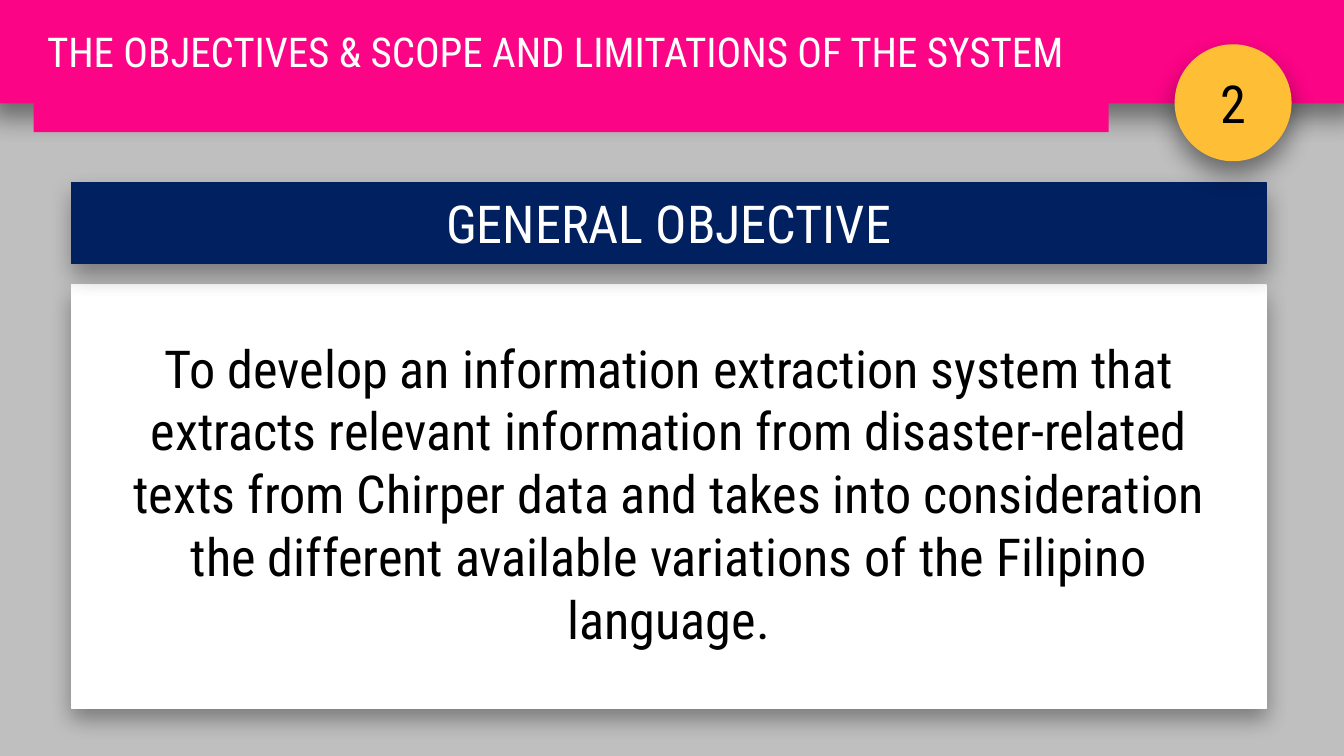
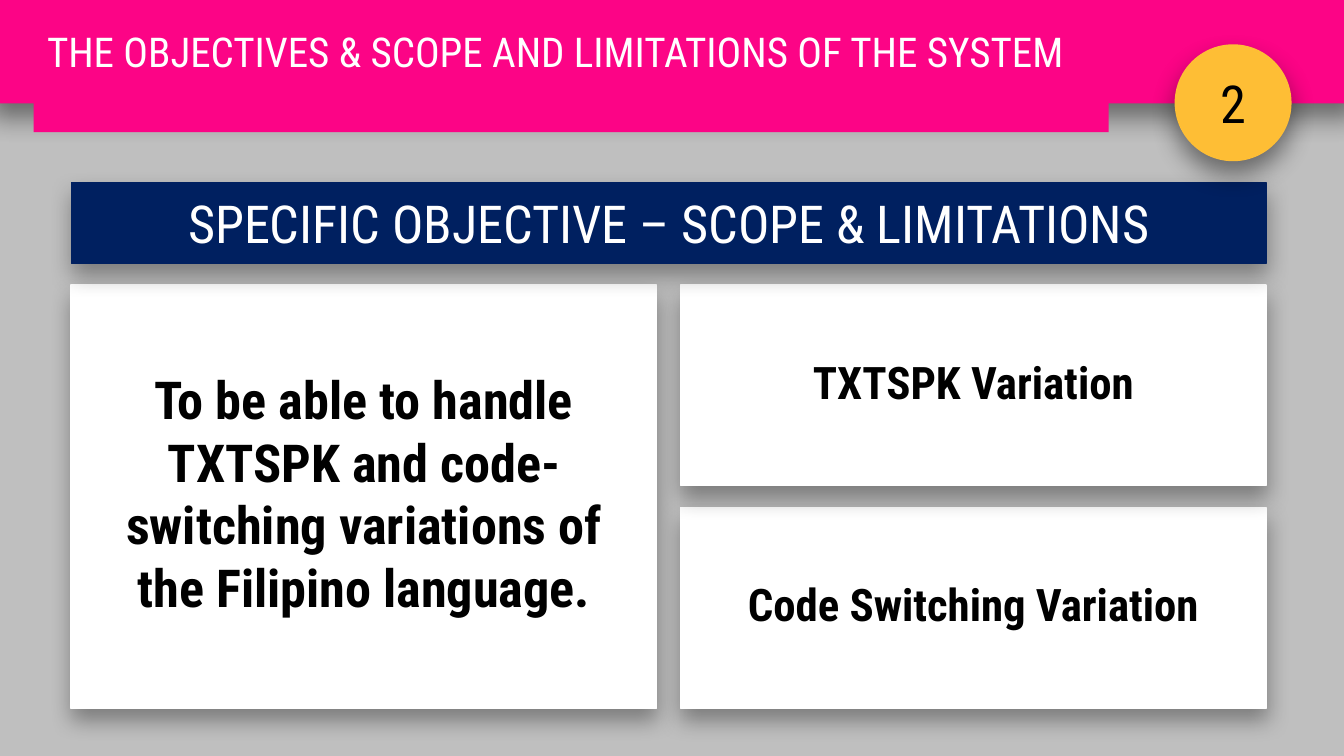
from collections import namedtuple
from dataclasses import dataclass

import lxml.etree
import pptx
import pptx.dml.color
import pptx.enum.shapes
import pptx.enum.text
import pptx.oxml.ns
import pptx.util

Inches = pptx.util.Inches
SHAPES = pptx.enum.shapes.MSO_SHAPE
ALIGN = pptx.enum.text.PP_ALIGN
ANCHOR = pptx.enum.text.MSO_ANCHOR
Box = namedtuple("Box", "left top width height")
Shadow = namedtuple("Shadow", "opacity blur distance")


@dataclass(frozen=True)
class Theme:
    font: str = "Roboto Condensed"
    backdrop: str = "BFBFBF"
    banner: str = "FC0486"
    heading: str = "002060"
    badge: str = "FEBE35"
    light: str = "FFFFFF"
    dark: str = "000000"
    title_size: int = 22
    topic_size: int = 24
    main_size: int = 28
    outline: float = 0.75
    panel_shadow: Shadow = Shadow(35, 12, 6)
    raised_shadow: Shadow = Shadow(45, 14, 7)


THEME = Theme()
SYSTEM_TITLE = "THE OBJECTIVES & SCOPE AND LIMITATIONS OF THE SYSTEM"
CHAPTER = "2"
BANNER = Box(-0.08, -0.98, 10.17, 1.75)
BADGE = Box(8.74, 0.33, 0.87, 0.87)
HEADING = Box(0.53, 1.36, 8.89, 0.6)
CONTENT = Box(0.53, 2.12, 8.89, 3.15)
COLUMN_GAP = 0.18
ROW_GAP = 0.16
CARD_MARGINS = (0.25, 0.1, 0.25, 0.16)


def rgb(value):
    return pptx.dml.color.RGBColor.from_string(value)


def set_all(target, formats):
    for name, value in formats.items():
        setattr(target, name, value)


def grid_cell(area, columns, rows, column, row, row_span=1):
    width = (area.width - COLUMN_GAP * (columns - 1)) / columns
    height = (area.height - ROW_GAP * (rows - 1)) / rows
    return Box(
        area.left + column * (width + COLUMN_GAP),
        area.top + row * (height + ROW_GAP),
        width,
        height * row_span + ROW_GAP * (row_span - 1),
    )


def cast_shadow(shape, shadow):
    shape.shadow.inherit = False
    qn = pptx.oxml.ns.qn
    effects = shape.element.spPr.find(qn("a:effectLst"))
    outer = lxml.etree.SubElement(
        effects,
        qn("a:outerShdw"),
        blurRad=str(pptx.util.Pt(shadow.blur)),
        dist=str(pptx.util.Pt(shadow.distance)),
        dir=str(90 * 60000),
        algn="t",
        rotWithShape="0",
    )
    color = lxml.etree.SubElement(outer, qn("a:srgbClr"), val=THEME.dark)
    lxml.etree.SubElement(color, qn("a:alpha"), val=str(shadow.opacity * 1000))


def add_panel(slide, box, fill, shadow, outlined=False, kind=SHAPES.RECTANGLE):
    panel = slide.shapes.add_shape(kind, *map(Inches, box))
    panel.fill.solid()
    panel.fill.fore_color.rgb = rgb(fill)
    if outlined:
        panel.line.color.rgb = rgb(fill)
        panel.line.width = pptx.util.Pt(THEME.outline)
    else:
        panel.line.fill.background()
    cast_shadow(panel, shadow)
    return panel


def write(shape, text, size, color, bold=False, align=ALIGN.CENTER,
          anchor=ANCHOR.MIDDLE, margins=(0.1, 0.05, 0.1, 0.05)):
    frame = shape.text_frame
    sides = ("margin_left", "margin_top", "margin_right", "margin_bottom")
    set_all(frame, dict(zip(sides, map(Inches, margins))))
    set_all(frame, {"word_wrap": True, "vertical_anchor": anchor, "text": text})
    paragraph = frame.paragraphs[0]
    paragraph.alignment = align
    font = paragraph.runs[0].font
    set_all(font, {"name": THEME.font, "size": pptx.util.Pt(size), "bold": bold})
    font.color.rgb = rgb(color)


def add_banner(slide, box):
    add_panel(slide, box, THEME.banner, THEME.raised_shadow)
    title = slide.shapes.title
    title_box = Box(box.left + 0.33, box.top + 1.13, 8, 0.47)
    set_all(title, dict(zip(Box._fields, map(Inches, title_box))))
    title.fill.solid()
    title.fill.fore_color.rgb = rgb(THEME.banner)
    write(title, SYSTEM_TITLE, THEME.title_size, THEME.light,
          align=ALIGN.LEFT, anchor=ANCHOR.TOP)
    title.text_frame.auto_size = pptx.enum.text.MSO_AUTO_SIZE.SHAPE_TO_FIT_TEXT
    slide.shapes.element.append(title.element)


def add_badge(slide, box):
    badge = add_panel(slide, box, THEME.badge, THEME.raised_shadow, kind=SHAPES.OVAL)
    write(badge, CHAPTER, THEME.main_size, THEME.dark)


def add_heading(slide, box, text):
    heading = add_panel(slide, box, THEME.heading, THEME.panel_shadow, outlined=True)
    write(heading, text, THEME.main_size, THEME.light)


def add_card(slide, box, text, size, bold=False):
    card = add_panel(slide, box, THEME.light, THEME.panel_shadow, outlined=True)
    write(card, text, size, THEME.dark, bold, margins=CARD_MARGINS)


def add_objective_slide(deck, heading, cards):
    slide = deck.slides.add_slide(deck.slide_layouts[5])
    slide.background.fill.solid()
    slide.background.fill.fore_color.rgb = rgb(THEME.backdrop)
    for card in cards:
        add_card(slide, *card)
    add_heading(slide, HEADING, heading)
    add_banner(slide, BANNER)
    add_badge(slide, BADGE)


def add_general_objective(deck):
    objective = (
        "To develop an information extraction system that extracts relevant "
        "information from disaster-related texts from Chirper data and takes into "
        "consideration the different available variations of the Filipino language."
    )
    add_objective_slide(deck, "GENERAL OBJECTIVE", [(CONTENT, objective, THEME.main_size)])


def add_specific_objective(deck):
    objective = (
        "To be able to handle TXTSPK and code-switching variations "
        "of the Filipino language."
    )
    cards = [(grid_cell(CONTENT, 2, 2, 0, 0, row_span=2), objective, THEME.main_size, True)]
    for row, topic in ((1, "Code Switching Variation"), (0, "TXTSPK Variation")):
        cards.append((grid_cell(CONTENT, 2, 2, 1, row), topic, THEME.topic_size, True))
    add_objective_slide(deck, "SPECIFIC OBJECTIVE – SCOPE & LIMITATIONS", cards)


def main():
    deck = pptx.Presentation()
    deck.slide_width = Inches(10)
    deck.slide_height = deck.slide_width * 9 // 16
    add_general_objective(deck)
    add_specific_objective(deck)
    deck.save("out.pptx")


if __name__ == "__main__":
    main()
